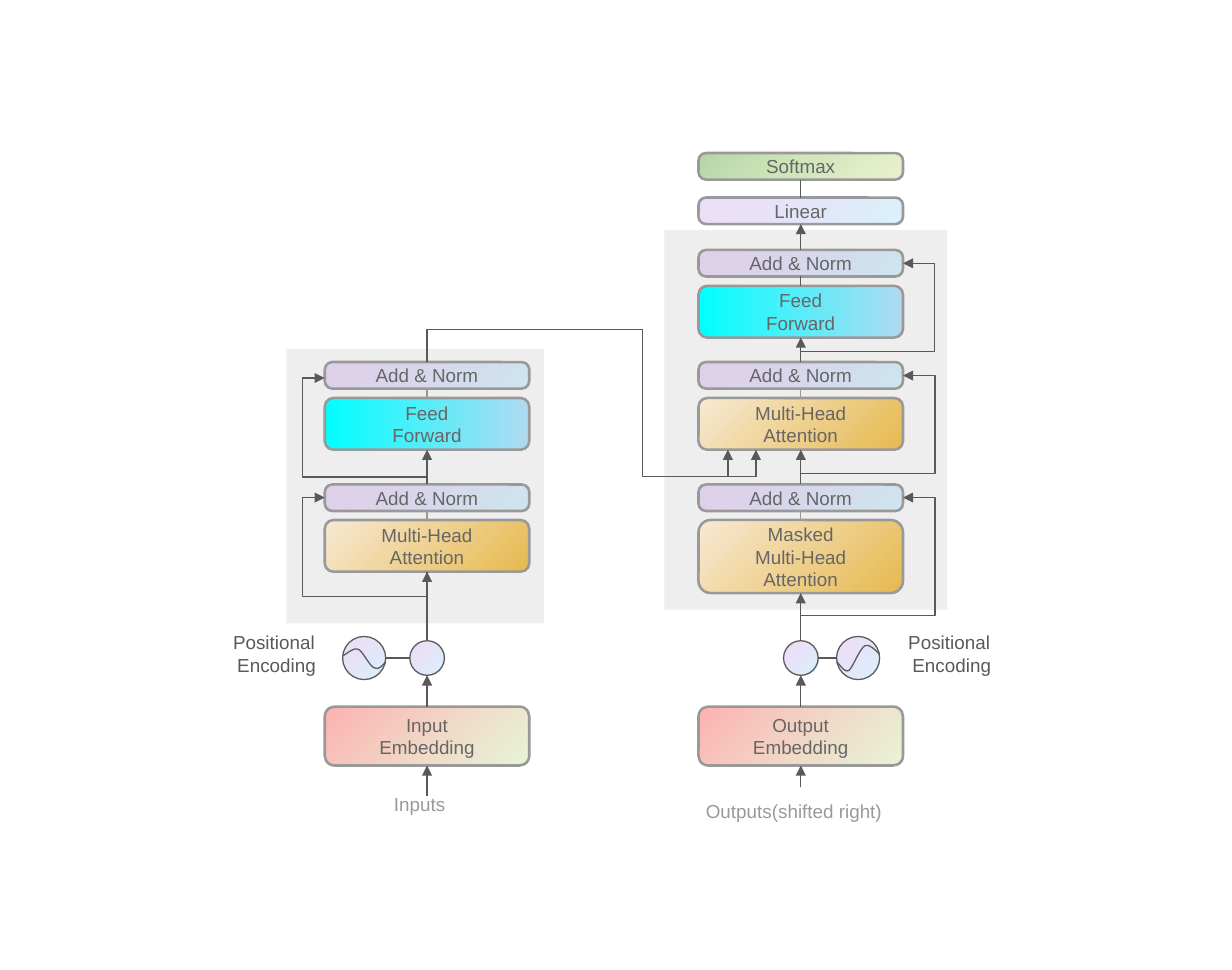
from lxml import etree
from pptx import Presentation
from pptx.dml.color import RGBColor
from pptx.enum.shapes import MSO_CONNECTOR, MSO_SHAPE
from pptx.enum.text import MSO_ANCHOR, PP_ALIGN
from pptx.oxml.ns import qn
from pptx.util import Pt

STRAIGHT, ELBOW = MSO_CONNECTOR.STRAIGHT, MSO_CONNECTOR.ELBOW
RECT, ROUND, OVAL = MSO_SHAPE.RECTANGLE, MSO_SHAPE.ROUNDED_RECTANGLE, MSO_SHAPE.OVAL
MIDDLE, TOP = MSO_ANCHOR.MIDDLE, MSO_ANCHOR.TOP
CENTER, LEFT = PP_ALIGN.CENTER, PP_ALIGN.LEFT

DARK = RGBColor(0x59, 0x59, 0x59)
GRAY = RGBColor(0x66, 0x66, 0x66)
LIGHT = RGBColor(0x99, 0x99, 0x99)
PANEL = RGBColor(0xEE, 0xEE, 0xEE)
SKY = RGBColor(0x69, 0xD4, 0xF4)
PURPLE = RGBColor(0x9F, 0x39, 0xD5)
CREAM = RGBColor(0xF7, 0xE9, 0xD4)
AMBER = RGBColor(0xE6, 0xB9, 0x4E)
CYAN = RGBColor(0x00, 0xFF, 0xFF)
PALE_BLUE = RGBColor(0xB0, 0xDA, 0xF1)
LIME = RGBColor(0xD8, 0xED, 0xBA)
ROSE = RGBColor(0xFE, 0x96, 0x96)
YELLOW_GREEN = RGBColor(0xE0, 0xED, 0xBA)
GREEN = RGBColor(0xB6, 0xD7, 0xA8)

# Gradients: clockwise angle, then (colour, opacity in percent) per stop
NORM = (225, (SKY, 26), (PURPLE, 17))
ATTENTION = (45, (CREAM, 100), (AMBER, 100))
FORWARD = (0, (CYAN, 100), (PALE_BLUE, 100))
EMBEDDING = (225, (LIME, 58), (ROSE, 74))
SOFTMAX = (225, (YELLOW_GREEN, 71), (GREEN, 100))

ENC, DEC = 249.6, 468      # column centres
BOX_W = 119.5
THIN, TALL = 15.5, 30.2    # box heights
ENCODING_Y = 384.4         # centre of the positional encoding row
ADD_R, WAVE_R = 10.1, 12.6  # circle radii


def write(tf, text, size=11, color=GRAY, align=CENTER, anchor=MIDDLE):
    tf.word_wrap = True
    tf.vertical_anchor = anchor
    tf.margin_left = tf.margin_right = tf.margin_top = tf.margin_bottom = Pt(7.2)
    for i, line in enumerate(text.split("\n")):
        p = tf.paragraphs[0] if i == 0 else tf.add_paragraph()
        p.alignment = align
        r = p.add_run()
        r.text = line
        r.font.name, r.font.size, r.font.color.rgb = "Arial", Pt(size), color


class Diagram:
    def __init__(self, s):
        self.s = s

    def outline(self, shape, color, width):
        shape.line.color.rgb = color
        shape.line.width = Pt(width)

    def gradient(self, sp, angle, *stops):
        sp.fill.gradient()
        sp.fill.gradient_angle = -angle % 360
        for stop, (color, _) in zip(sp.fill.gradient_stops, stops):
            stop.color.rgb = color
        for gs, (_, opacity) in zip(sp._element.iter(qn("a:gs")), stops):
            if opacity < 100:
                etree.SubElement(gs[0], qn("a:alpha"), val=str(opacity * 1000))

    def panel(self, x, y, w, h):
        sp = self.s.shapes.add_shape(RECT, Pt(x), Pt(y), Pt(w), Pt(h))
        sp.shadow.inherit = False
        sp.fill.solid()
        sp.fill.fore_color.rgb = PANEL
        sp.line.fill.background()

    def box(self, cx, y, h, text, fill):
        sp = self.s.shapes.add_shape(ROUND, Pt(cx - BOX_W / 2), Pt(y), Pt(BOX_W), Pt(h))
        sp.shadow.inherit = False
        sp.adjustments[0] = 0.285 if h == THIN else 0.167
        self.gradient(sp, *fill)
        self.outline(sp, LIGHT, 1.5)
        write(sp.text_frame, text)
        return sp

    def circle(self, cx, radius):
        sp = self.s.shapes.add_shape(OVAL, Pt(cx - radius), Pt(ENCODING_Y - radius),
                                     Pt(2 * radius), Pt(2 * radius))
        sp.shadow.inherit = False
        self.gradient(sp, *NORM)
        self.outline(sp, DARK, 0.75)

    def wave(self, start, *curves):
        points, p0 = [], start
        for p1, p2, p3 in curves:
            for t in (i / 10 for i in range(1, 11)):
                points.append(tuple(
                    Pt((1 - t) ** 3 * a + 3 * (1 - t) ** 2 * t * b + 3 * (1 - t) * t * t * c + t ** 3 * d)
                    for a, b, c, d in zip(p0, p1, p2, p3)))
            p0 = p3
        builder = self.s.shapes.build_freeform(Pt(start[0]), Pt(start[1]))
        builder.add_line_segments(points, close=False)
        sp = builder.convert_to_shape()
        sp.shadow.inherit = False
        sp.fill.background()
        self.outline(sp, DARK, 0.75)

    def label(self, x, y, w, h, text, color, align):
        tb = self.s.shapes.add_textbox(Pt(x), Pt(y), Pt(w), Pt(h))
        write(tb.text_frame, text, color=color, align=align, anchor=TOP)

    def style(self, c, color, arrow):
        self.outline(c, color, 0.75)
        if arrow:
            etree.SubElement(c._element.spPr.find(qn("a:ln")), qn("a:tailEnd"), type="triangle")
        etree.SubElement(c._element.spPr, qn("a:effectLst"))

    def line(self, start, end, color=DARK, arrow=True):
        """Each end is a point (x, y) or a connection site (shape, index)."""
        c = self.s.shapes.add_connector(STRAIGHT, 0, 0, 0, 0)
        if isinstance(start[0], (int, float)):
            c.begin_x, c.begin_y = map(Pt, start)
        else:
            c.begin_connect(*start)
        if isinstance(end[0], (int, float)):
            c.end_x, c.end_y = map(Pt, end)
        else:
            c.end_connect(*end)
        self.style(c, color, arrow)

    def bent(self, start, end, rotation, flip, *adjusts, arrow=True):
        (x1, y1), (x2, y2) = start, end
        w, h = abs(x2 - x1), abs(y2 - y1)
        if rotation != 180:
            w, h = h, w
        x, y = (x1 + x2 - w) / 2, (y1 + y2 - h) / 2
        c = self.s.shapes.add_connector(ELBOW, Pt(x), Pt(y), Pt(x + w), Pt(y + h))
        xfrm = c._element.spPr.find(qn("a:xfrm"))
        xfrm.set("rot", str(rotation * 60000))
        if flip:
            xfrm.set("flipH", "1")
        geom = c._element.spPr.find(qn("a:prstGeom"))
        geom.set("prst", f"bentConnector{len(adjusts) + 2}")
        for i, adjust in enumerate(adjusts, 1):
            etree.SubElement(geom.find(qn("a:avLst")), qn("a:gd"),
                             name=f"adj{i}", fmla=f"val {round(adjust * 100000)}")
        self.style(c, DARK, arrow)


def main():
    prs = Presentation()
    prs.slide_width, prs.slide_height = Pt(720), Pt(566.64)
    d = Diagram(prs.slides.add_slide(prs.slide_layouts[6]))

    # Encoder and decoder panels
    d.panel(167.3, 203.8, 150.6, 160.4)
    d.panel(388.2, 134.5, 165.4, 221.6)

    # Blocks shared by both columns, bottom to top
    for cx, source, first, first_h, second, fill, input_y in (
            (ENC, "Input", "Multi-Head\nAttention", TALL, "Feed\nForward", FORWARD, 465),
            (DEC, "Output", "Masked\nMulti-Head\nAttention", 42.7,
             "Multi-Head\nAttention", ATTENTION, 460)):
        embedding = d.box(cx, 412.8, 34.4, source + "\nEmbedding", EMBEDDING)
        d.circle(cx, ADD_R)
        attention = d.box(cx, 303.8, first_h, first, ATTENTION)
        norm = d.box(cx, 283, THIN, "Add & Norm", NORM)
        upper = d.box(cx, 232.5, TALL, second, fill)
        upper_norm = d.box(cx, 211.5, THIN, "Add & Norm", NORM)
        d.line((cx, input_y), (embedding, 2))
        d.line((embedding, 0), (cx, ENCODING_Y + ADD_R))
        d.line((cx, ENCODING_Y - ADD_R), (attention, 2))
        d.line((attention, 0), (norm, 2), LIGHT, arrow=False)
        d.line((norm, 0), (upper, 2))
        d.line((upper, 0), (upper_norm, 2), LIGHT, arrow=False)

    # Top of the decoder, above its last block
    forward = d.box(DEC, 167, TALL, "Feed\nForward", FORWARD)
    top_norm = d.box(DEC, 146, THIN, "Add & Norm", NORM)
    linear = d.box(DEC, 115.4, THIN, "Linear", NORM)
    softmax = d.box(DEC, 89.4, THIN, "Softmax", SOFTMAX)
    d.line((upper_norm, 0), (forward, 2))
    d.line((forward, 0), (top_norm, 2), arrow=False)
    d.line((top_norm, 0), (linear, 2))
    d.line((linear, 0), (softmax, 2), arrow=False)

    # Positional encodings
    for cx, wave_x, side, label_x in ((ENC, 212.8, -1, 97.2), (DEC, 501.5, 1, 491.8)):
        d.circle(wave_x, WAVE_R)
        d.line((cx + side * ADD_R, ENCODING_Y), (wave_x - side * WAVE_R, ENCODING_Y), arrow=False)
        d.label(label_x, 361.4, 128.9, 14.4, "Positional \nEncoding", DARK, CENTER)
    d.wave((200.6, 383), ((202.3, 382.3), (206.6, 378), (209.5, 379.4)),
           ((212.4, 380.9), (216, 389.5), (218.9, 390.2)),
           ((221.8, 391.7), (224.6, 387.4), (225.4, 386.6)))
    d.wave((514.1, 382.3), ((512.6, 380.9), (508.3, 375.8), (505.4, 377.3)),
           ((502.6, 378.7), (498.2, 390.2), (496.1, 391.7)),
           ((493.2, 393.1), (490.3, 387.4), (488.9, 386.6)))

    # Inputs and outputs
    d.label(223.2, 456.5, 52.6, 29.5, "Inputs", LIGHT, LEFT)
    d.label(405.4, 460.8, 123.8, 29.5, "Outputs(shifted right)", LIGHT, LEFT)

    # Residual paths
    left, right = ENC - BOX_W / 2, DEC + BOX_W / 2
    d.bent((ENC, 334), (left, 290.7), 90, True, -0.333, 1.218)
    d.bent((ENC, 264.2), (left, 220.8), 90, True, -0.333, 1.218)
    d.bent((DEC, 374.4), (right, 290.7), 270, False, 0.178, 1.313)
    d.bent((DEC, 276.6), (right, 219.4), 180, True, 1.314)
    d.bent((DEC, 205.4), (right, 153.8), 180, True, 1.308)

    # Encoder output into the decoder attention
    d.bent((ENC, 211.5), (441.8, 278.5), 270, True, -0.281, 0.655, arrow=False)
    for x in (425.4, 441.8):
        d.line((x, 278.5), (x, 262.7))

    prs.save("out.pptx")


if __name__ == "__main__":
    main()
